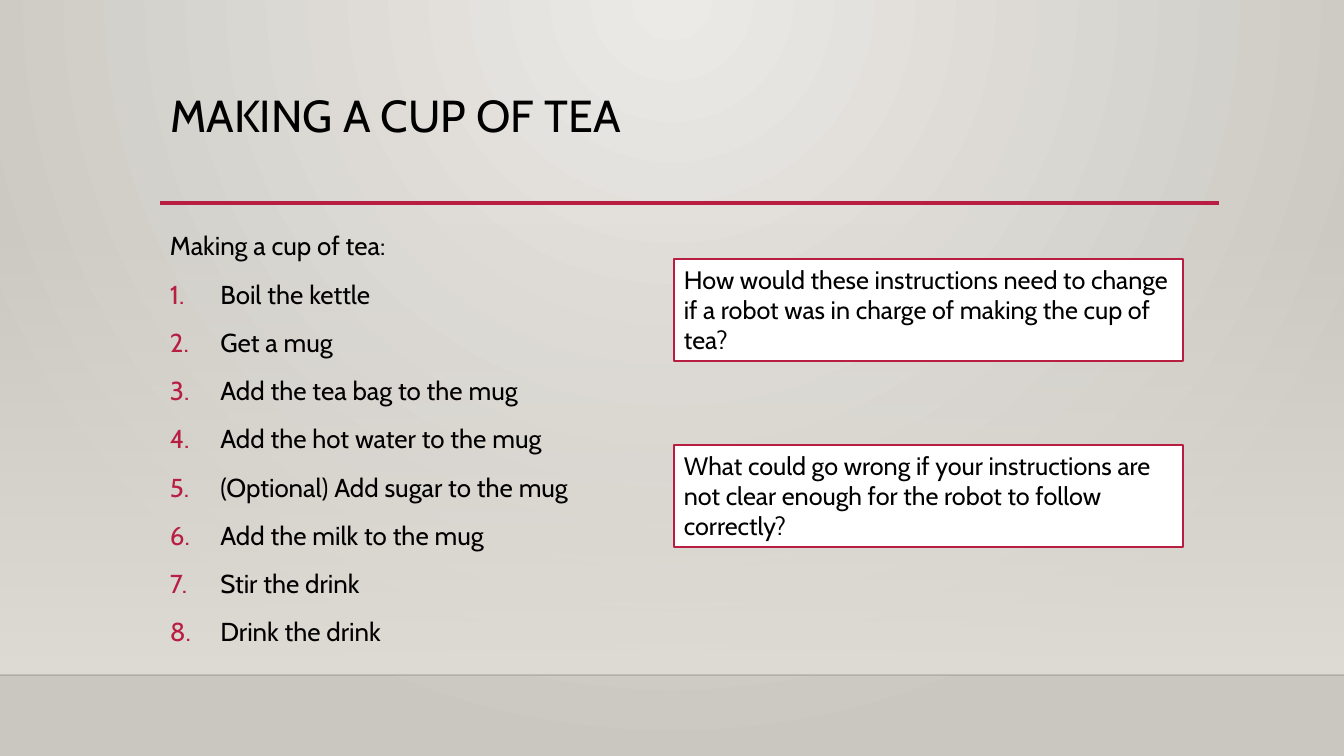
from lxml.etree import SubElement
from pptx import Presentation
from pptx.dml.color import RGBColor
from pptx.enum.shapes import MSO_CONNECTOR, MSO_SHAPE
from pptx.enum.text import MSO_ANCHOR, MSO_AUTO_SIZE, PP_ALIGN
from pptx.oxml.ns import qn
from pptx.util import Emu, Inches, Pt

CRIMSON = RGBColor(0xB7, 0x1E, 0x42)
BLACK = RGBColor(0, 0, 0)
EDGE = RGBColor(0, 0, 1)
WHITE = RGBColor(255, 255, 255)
SAND = RGBColor(0xDF, 0xDB, 0xD5)
GLOW = RGBColor(0xEC, 0xEA, 0xE7)
STONE = RGBColor(0xCA, 0xC7, 0xC1)

STEPS = [
    "Boil the kettle",
    "Get a mug",
    "Add the tea bag to the mug",
    "Add the hot water to the mug",
    "(Optional) Add sugar to the mug",
    "Add the milk to the mug",
    "Stir the drink",
    "Drink the drink",
]
QUESTIONS = [
    "How would these instructions need to change if a robot was in charge of making the cup of tea?",
    "What could go wrong if your instructions are not clear enough for the robot to follow correctly?",
]


def px(length):
    return Emu(round(length * 914400 / 100.8))


def set_alpha(element, percent):
    colour = next(element.iter(qn("a:srgbClr")))
    SubElement(colour, qn("a:alpha"), val=str(percent * 1000))


class Lesson:
    font = "Cabin"

    def __init__(self):
        self.deck = Presentation()
        self.deck.slide_width, self.deck.slide_height = px(1344), px(756)
        self.page = self.deck.slides.add_slide(self.deck.slide_layouts[5])

    def gradient(self, fill, *colours):
        fill.gradient()
        for stop, colour in zip(fill.gradient_stops, colours):
            stop.color.rgb = colour

    def background(self, inner, outer):
        self.gradient(self.page.background.fill, inner, outer)
        gradient = next(self.page.element.iter(qn("a:gradFill")))
        linear = gradient.find(qn("a:lin"))
        circle = gradient.makeelement(qn("a:path"), {"path": "circle"})
        gradient.replace(linear, circle)
        SubElement(circle, qn("a:fillToRect"), l="43000", t="0", r="43000", b="100000")

    def place(self, shape, left, top, width, height):
        shape.left, shape.top = px(left), px(top)
        shape.width, shape.height = px(width), px(height)

    def set_text(self, shape, lines, size, line_spacing=1.0, space_before=0):
        frame = shape.text_frame
        frame.text = "\n".join(lines)
        frame.word_wrap = True
        frame.vertical_anchor = MSO_ANCHOR.TOP
        for para in frame.paragraphs:
            para.alignment = PP_ALIGN.LEFT
            para.line_spacing = line_spacing
            para.space_before = Pt(space_before)
            for span in para.runs:
                span.font.name = self.font
                span.font.size = Pt(size)
                span.font.color.rgb = BLACK
        return frame

    def title(self, text, *bounds):
        title = self.page.shapes.title
        self.place(title, *bounds)
        self.set_text(title, [text], 32, 0.9).auto_size = MSO_AUTO_SIZE.NONE

    def rectangle(self, *bounds):
        box = self.page.shapes.add_shape(MSO_SHAPE.RECTANGLE, *map(px, bounds))
        box.shadow.inherit = False
        return box

    def fading_band(self, colour, *bounds):
        band = self.rectangle(*bounds)
        self.gradient(band.fill, colour, colour)
        band.fill.gradient_angle = 270
        set_alpha(next(band.element.iter(qn("a:gs"))), 0)
        band.line.fill.background()

    def rule(self, left, right, y, colour, weight, opacity=100):
        rule = self.page.shapes.add_connector(
            MSO_CONNECTOR.STRAIGHT, px(left), px(y), px(right), px(y))
        rule.line.color.rgb = colour
        rule.line.width = Pt(weight)
        if opacity < 100:
            set_alpha(rule.element.spPr, opacity)
        SubElement(rule.element.spPr, qn("a:effectLst"))

    def numbered_list(self, heading, steps, *bounds):
        box = self.page.shapes.add_textbox(*map(px, bounds))
        frame = self.set_text(box, [heading, *steps], 18.5, 1.1, 10)
        indent = Inches(0.5)
        for para in frame.paragraphs[1:]:
            properties = para._p.get_or_add_pPr()
            properties.set("marL", str(indent))
            properties.set("indent", str(-indent))
            bullet_colour = SubElement(properties, qn("a:buClr"))
            SubElement(bullet_colour, qn("a:srgbClr"), val=str(CRIMSON))
            SubElement(properties, qn("a:buFont"), typeface=self.font)
            SubElement(properties, qn("a:buAutoNum"), type="arabicPeriod")

    def question(self, text, *bounds):
        box = self.rectangle(*bounds)
        box.fill.solid()
        box.fill.fore_color.rgb = WHITE
        box.line.color.rgb = CRIMSON
        box.line.width = Pt(1.25)
        self.set_text(box, [text], 18).auto_size = MSO_AUTO_SIZE.SHAPE_TO_FIT_TEXT


def main():
    lesson = Lesson()
    lesson.background(GLOW, STONE)
    lesson.fading_band(SAND, 0, 223, 1344, 452)
    lesson.rule(0, 1344, 675, EDGE, 1, opacity=20)
    lesson.rule(160, 1219, 203, CRIMSON, 2.5)
    lesson.title("MAKING A CUP OF TEA", 160, 89, 1058, 116)
    lesson.numbered_list("Making a cup of tea:", STEPS, 160, 222, 465, 446)
    for index, text in enumerate(QUESTIONS):
        lesson.question(text, 674, 259 + index * 186, 509, 102)
    lesson.deck.save("out.pptx")


if __name__ == "__main__":
    main()
